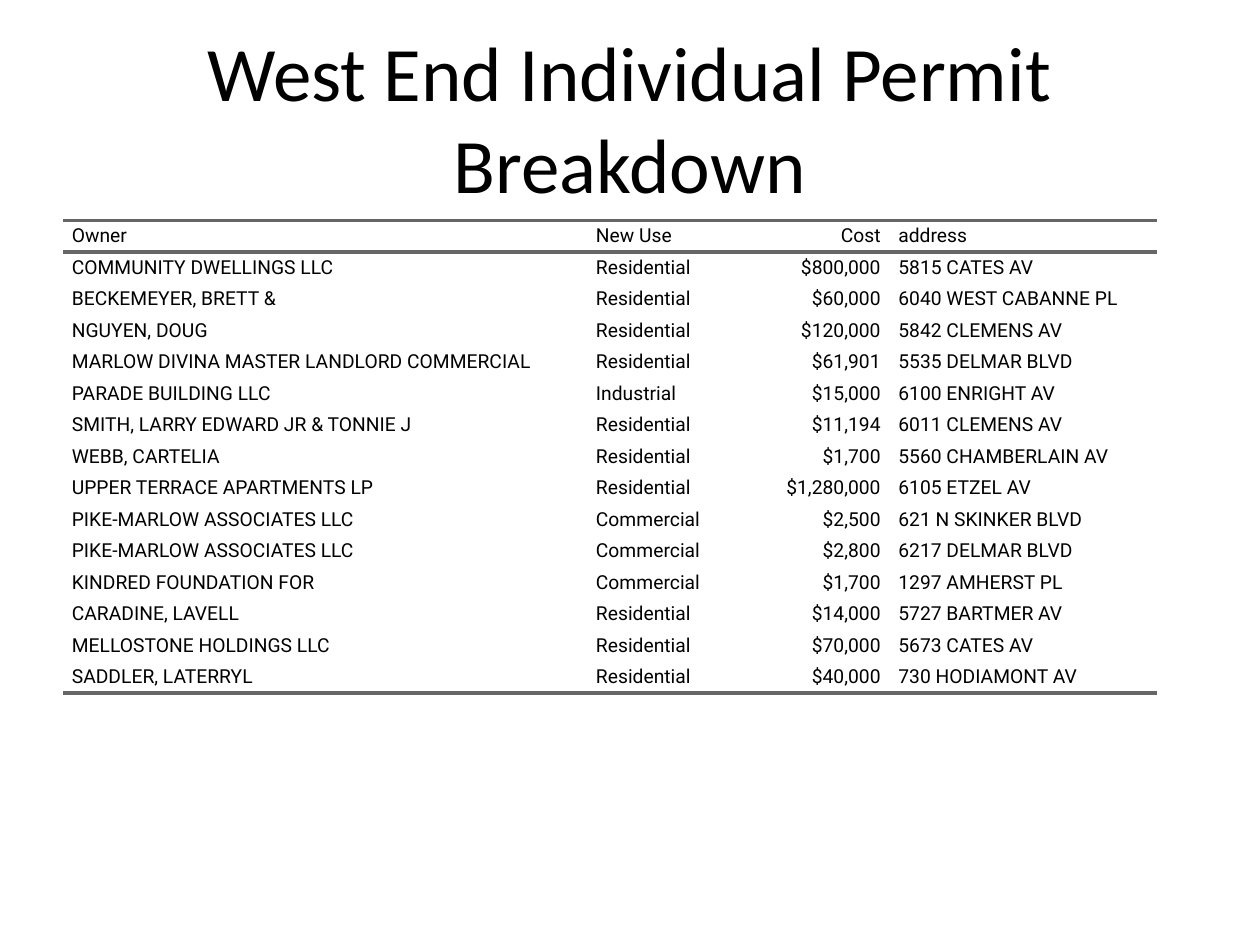
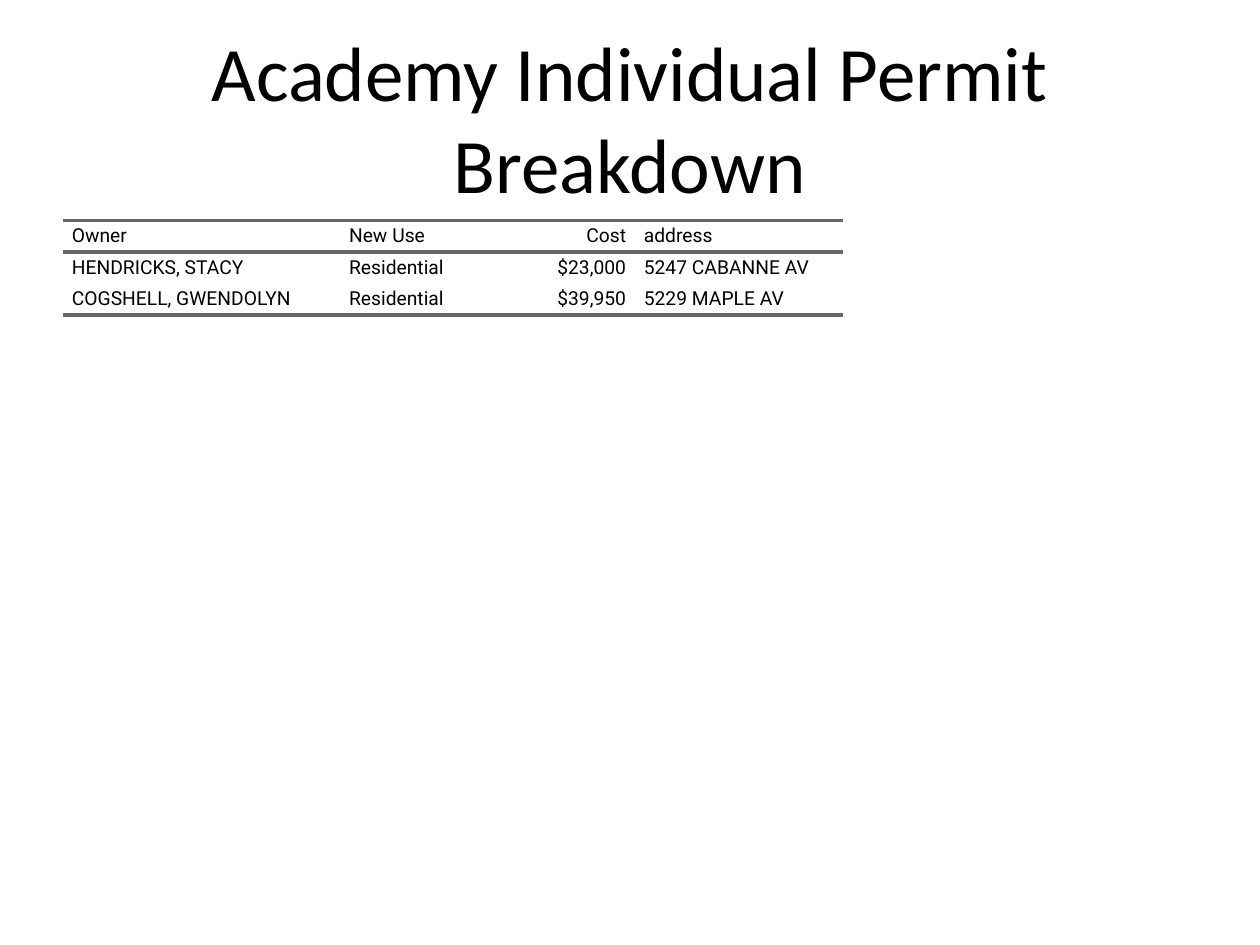
from lxml import etree
from pptx import Presentation
from pptx.dml.color import RGBColor
from pptx.enum.text import MSO_ANCHOR, PP_ALIGN
from pptx.oxml.ns import qn
from pptx.util import Inches, Pt

MIDDLE = MSO_ANCHOR.MIDDLE
LEFT, CENTER, RIGHT = PP_ALIGN.LEFT, PP_ALIGN.CENTER, PP_ALIGN.RIGHT
COLORS = {"text": "000000", "rule": "666666"}
HEADS = ("Owner", "New Use", "Cost", "address")
ALIGNS = (LEFT, LEFT, RIGHT, LEFT)

WEST = [
    ("COMMUNITY DWELLINGS LLC", "Residential", "$800,000", "5815 CATES AV"),
    ("BECKEMEYER, BRETT &", "Residential", "$60,000", "6040 WEST CABANNE PL"),
    ("NGUYEN, DOUG", "Residential", "$120,000", "5842 CLEMENS AV"),
    ("MARLOW DIVINA MASTER LANDLORD COMMERCIAL", "Residential", "$61,901", "5535 DELMAR BLVD"),
    ("PARADE BUILDING LLC", "Industrial", "$15,000", "6100 ENRIGHT AV"),
    ("SMITH, LARRY EDWARD JR & TONNIE J", "Residential", "$11,194", "6011 CLEMENS AV"),
    ("WEBB, CARTELIA", "Residential", "$1,700", "5560 CHAMBERLAIN AV"),
    ("UPPER TERRACE APARTMENTS LP", "Residential", "$1,280,000", "6105 ETZEL AV"),
    ("PIKE-MARLOW ASSOCIATES LLC", "Commercial", "$2,500", "621 N SKINKER BLVD"),
    ("PIKE-MARLOW ASSOCIATES LLC", "Commercial", "$2,800", "6217 DELMAR BLVD"),
    ("KINDRED FOUNDATION FOR", "Commercial", "$1,700", "1297 AMHERST PL"),
    ("CARADINE, LAVELL", "Residential", "$14,000", "5727 BARTMER AV"),
    ("MELLOSTONE HOLDINGS LLC", "Residential", "$70,000", "5673 CATES AV"),
    ("SADDLER, LATERRYL", "Residential", "$40,000", "730 HODIAMONT AV"),
]
ACADEMY = [
    ("HENDRICKS, STACY", "Residential", "$23,000", "5247 CABANNE AV"),
    ("COGSHELL, GWENDOLYN", "Residential", "$39,950", "5229 MAPLE AV"),
]


class Deck:
    def __init__(self):
        self.show = Presentation()
        self.show.slide_width = Inches(10)
        self.show.slide_height = Inches(7.5)
        self.slide = None

    def start(self, title):
        self.slide = self.show.slides.add_slide(self.show.slide_layouts[6])
        self.title(title)

    def text(self, frame, words, font, size, align):
        para = frame.paragraphs[0]
        para.alignment = align
        run = para.add_run()
        run.text = words
        run.font.name = font
        run.font.size = Pt(size)
        run.font.color.rgb = RGBColor.from_string(COLORS["text"])
        return para

    def title(self, words):
        box = self.slide.shapes.add_textbox(Inches(0.5), Inches(0.3), Inches(9), Inches(1.25))
        frame = box.text_frame
        frame.word_wrap = True
        frame.vertical_anchor = MIDDLE
        self.text(frame, words, "Calibri", 44, CENTER)

    def border(self, cell, sides):
        props = cell._tc.get_or_add_tcPr()
        for place, side in enumerate("LRTB"):
            line = etree.Element(qn(f"a:ln{side}"))
            if side in sides:
                line.set("w", str(Pt(2)))
                fill = etree.SubElement(line, qn("a:solidFill"))
                etree.SubElement(fill, qn("a:srgbClr"), val=COLORS["rule"])
            else:
                etree.SubElement(line, qn("a:noFill"))
            props.insert(place, line)

    def cell(self, cell, words, align, sides):
        cell.margin_left = cell.margin_right = cell.margin_top = cell.margin_bottom = 0
        cell.vertical_anchor = MIDDLE
        cell.fill.background()
        para = self.text(cell.text_frame, words, "Roboto", 11, align)
        for side in ("marL", "marR"):
            para._p.get_or_add_pPr().set(side, str(Inches(0.07)))
        self.border(cell, sides)

    def table(self, widths, permits):
        rows = [HEADS, *permits]
        high = Inches(0.25)
        table = self.slide.shapes.add_table(
            len(rows), len(HEADS), Inches(0.5), Inches(1.75),
            Inches(sum(widths)), high * len(rows)).table
        table.first_row = table.horz_banding = False
        for column, width in zip(table.columns, widths):
            column.width = Inches(width)
        for r, row in enumerate(rows):
            table.rows[r].height = high
            sides = ("T" if r < 2 else "") + ("B" if r in (0, len(rows) - 1) else "")
            for c, words in enumerate(row):
                self.cell(table.cell(r, c), words, ALIGNS[c], sides)


def main():
    deck = Deck()
    deck.start("West End Individual Permit Breakdown")
    deck.table((4.16, 1.1, 1.3, 2.12), WEST)
    deck.start("Academy Individual Permit Breakdown")
    deck.table((2.2, 1.04, 1.3, 1.65), ACADEMY)
    deck.show.save("out.pptx")


if __name__ == "__main__":
    main()
